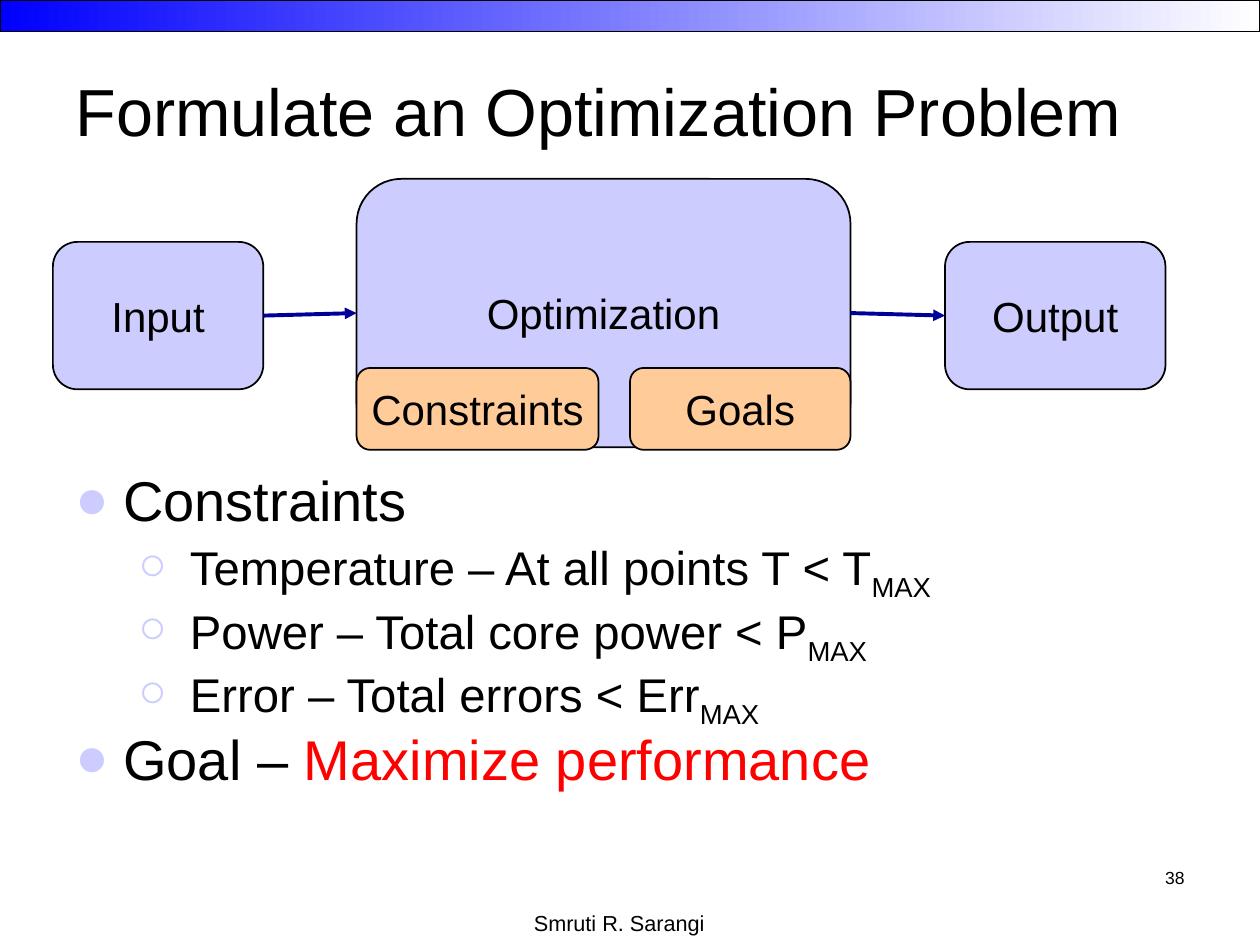
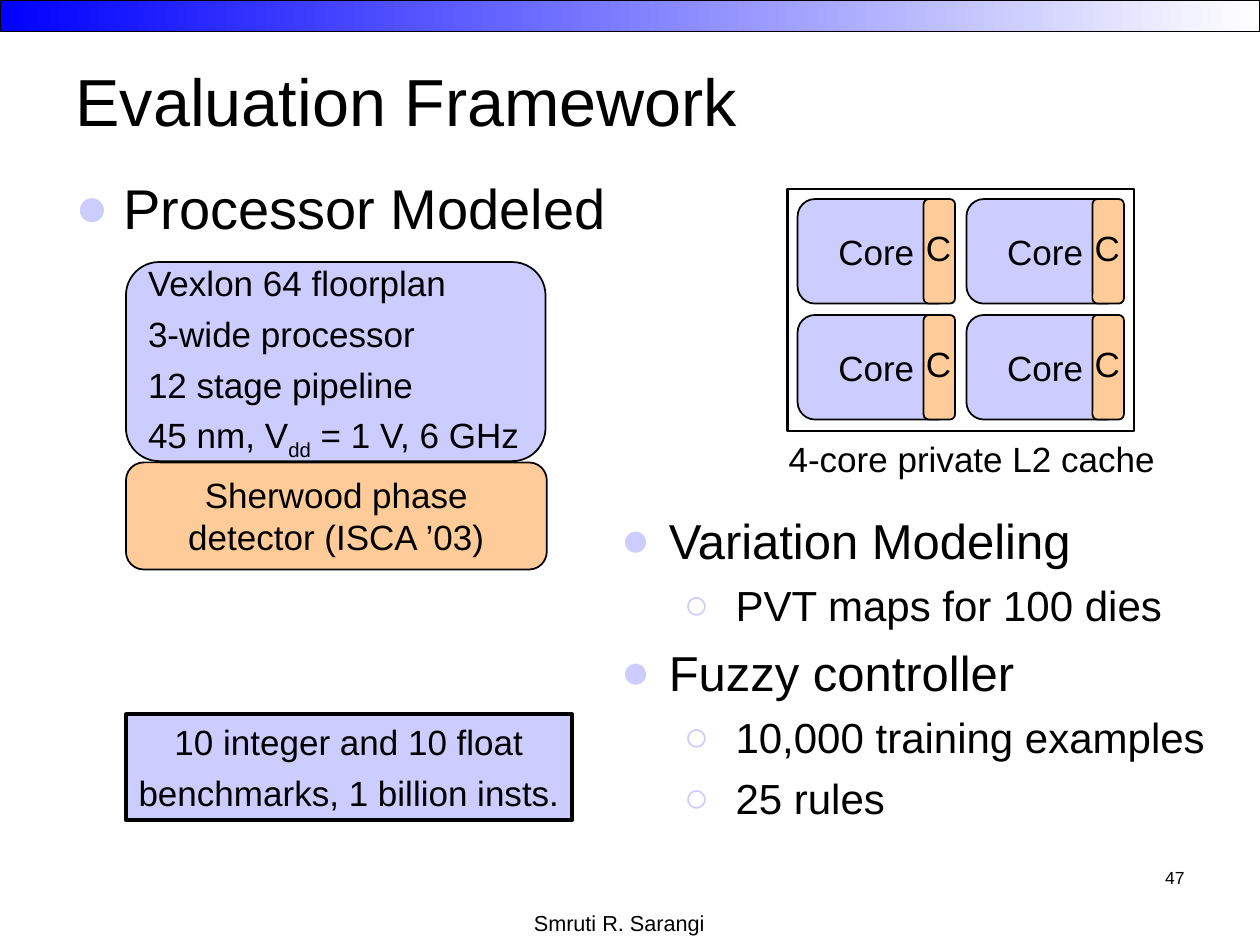
import itertools
from dataclasses import dataclass

import lxml.etree
import pptx
import pptx.dml.color
import pptx.enum.dml
import pptx.enum.shapes
import pptx.enum.text
import pptx.oxml.ns
import pptx.util

Inches = pptx.util.Inches
Pt = pptx.util.Pt
SHAPE = pptx.enum.shapes.MSO_SHAPE
ALIGN = pptx.enum.text.PP_ALIGN
ANCHOR = pptx.enum.text.MSO_ANCHOR
qn = pptx.oxml.ns.qn


@dataclass(frozen=True)
class Theme:
    """Colours, font and type sizes shared by the slides."""
    font: str = "Arial"
    ink: str = "000000"
    paper: str = "FFFFFF"
    band: str = "0000FF"
    lavender: str = "CCCCFF"
    peach: str = "FFCC99"
    arrow: str = "000099"
    accent: str = "FF0000"
    title: float = 38
    flow: float = 24
    label: float = 20
    footer: float = 12.4
    number: float = 10


THEME = Theme()
AUTHOR = "Smruti R. Sarangi"
SUB = {"sub": True}
LEVELS = (("●", 0.38, -0.38), ("○", 0.91, -0.41))


def rgb(color):
    """Turn a hex string into a colour."""
    return pptx.dml.color.RGBColor.from_string(color)


def add_run(p, text, size, color=THEME.ink, sub=False):
    """Add one formatted run to a paragraph."""
    r = p.add_run()
    r.text = text
    r.font.name = THEME.font
    r.font.size = Pt(size)
    r.font.color.rgb = rgb(color)
    if sub:
        r.font._element.set("baseline", "-25000")


def add_bullet(p, level):
    """Give a paragraph the bullet and indents of its level."""
    char, margin, indent = LEVELS[level]
    p.level = level
    pPr = p._p.get_or_add_pPr()
    pPr.set("marL", str(Inches(margin)))
    pPr.set("indent", str(Inches(indent)))
    clr = lxml.etree.SubElement(pPr, qn("a:buClr"))
    lxml.etree.SubElement(clr, qn("a:srgbClr"), val=THEME.lavender)
    lxml.etree.SubElement(pPr, qn("a:buFont"), typeface=THEME.font)
    lxml.etree.SubElement(pPr, qn("a:buChar"), char=char)


def write(sp, paragraphs, size=THEME.label, align=ALIGN.LEFT, anchor=ANCHOR.TOP,
          wrap=True, before=5, spacing=None, levels=None):
    """Fill a shape with paragraphs, each a string or a list of (text, format) runs."""
    per_level = lambda value, level: value[level] if levels else value
    tf = sp.text_frame
    tf.auto_size = pptx.enum.text.MSO_AUTO_SIZE.NONE
    tf.word_wrap = wrap
    tf.vertical_anchor = anchor
    for i, runs in enumerate(paragraphs):
        level = levels[i] if levels else 0
        p = tf.add_paragraph() if i else tf.paragraphs[0]
        if levels:
            add_bullet(p, level)
        p.alignment = align
        p.space_before = Pt(per_level(before, level) if i else 0)
        if spacing:
            p.line_spacing = spacing
        for text, fmt in [(runs, {})] if isinstance(runs, str) else runs:
            add_run(p, text, per_level(size, level), **fmt)


def add_text(s, box, paragraphs, **fmt):
    """Add a text box."""
    sp = s.shapes.add_textbox(*map(Inches, box))
    write(sp, paragraphs, **fmt)
    return sp


def add_outline(s, box, items, **fmt):
    """Add a bulleted list of (level, paragraph) items."""
    levels, paragraphs = zip(*items)
    return add_text(s, box, paragraphs, levels=levels, **fmt)


def add_box(s, box, paragraphs=(), fill=THEME.lavender, line=1,
            shape=SHAPE.ROUNDED_RECTANGLE, **fmt):
    """Add an outlined shape with text in its middle."""
    sp = s.shapes.add_shape(shape, *map(Inches, box))
    sp.shadow.inherit = False
    if fill:
        sp.fill.solid()
        sp.fill.fore_color.rgb = rgb(fill)
    else:
        sp.fill.background()
    sp.line.color.rgb = rgb(THEME.ink)
    sp.line.width = Pt(line)
    if paragraphs:
        write(sp, paragraphs, anchor=ANCHOR.MIDDLE, **{"align": ALIGN.CENTER, **fmt})
    return sp


def add_arrow(s, start, end):
    """Join the right side of one box to the left side of another."""
    c = s.shapes.add_connector(pptx.enum.shapes.MSO_CONNECTOR.STRAIGHT, 0, 0, 0, 0)
    c.begin_connect(start, 3)
    c.end_connect(end, 1)
    c.line.color.rgb = rgb(THEME.arrow)
    c.line.width = Pt(2.25)
    lxml.etree.SubElement(c.line._get_or_add_ln(), qn("a:tailEnd"), type="triangle")
    lxml.etree.SubElement(c._element.spPr, qn("a:effectLst"))


def add_slide(prs, title, number, title_top):
    """Add a slide with its band, title, footer and number."""
    s = prs.slides.add_slide(prs.slide_layouts[5])
    band = add_box(s, (0, 0, 10, 0.25), shape=SHAPE.RECTANGLE)
    band.fill.gradient()
    band.fill.gradient_angle = 0
    for stop, color, position in zip(band.fill.gradient_stops, (THEME.band, THEME.paper), (0, 1)):
        stop.color.rgb = rgb(color)
        stop.position = position
    sp = s.shapes.title
    sp.left, sp.top, sp.width, sp.height = map(Inches, (0.5, title_top, 9, 1.25))
    write(sp, [title], size=THEME.title, anchor=ANCHOR.MIDDLE)
    add_text(s, (3.33, 7.17, 3.17, 0.33), [AUTHOR], size=THEME.footer, align=ALIGN.CENTER)
    add_text(s, (7.17, 6.83, 2.33, 0.5), [number], size=THEME.number, align=ALIGN.RIGHT)
    return s


def add_flow(s, left, top):
    """Draw input, optimization and output joined by arrows."""
    def node(text, x, y, w, h, fill=THEME.lavender):
        return add_box(s, (left + x, top + y, w, h), [text], fill=fill,
                       size=THEME.flow, wrap=False)

    optimization = node("Optimization", 2.41, 0, 3.92, 2.13)
    output = node("Output", 7.08, 0.5, 1.75, 1.17)
    node("Constraints", 2.41, 1.5, 1.92, 0.65, THEME.peach)
    node("Goals", 4.58, 1.5, 1.75, 0.65, THEME.peach)
    source = node("Input", 0, 0.5, 1.67, 1.17)
    add_arrow(s, source, optimization)
    add_arrow(s, optimization, output)


def add_chip(s, left, top):
    """Draw a two by two grid of cores, each with its cache strip."""
    add_box(s, (left, top, 2.75, 1.92), fill=None, line=1.5, shape=SHAPE.RECTANGLE)
    for row, col in itertools.product(range(2), repeat=2):
        x, y = left + 0.08 + 1.34 * col, top + 0.08 + 0.92 * row
        add_box(s, (x, y, 1.25, 0.83), ["Core"], wrap=False)
        add_box(s, (x + 1, y, 0.25, 0.83), fill=THEME.peach)
        add_text(s, (x + 0.92, y + 0.17, 0.4, 0.44), ["C"], wrap=False)
    add_text(s, (left - 0.09, top + 1.92, 3.11, 0.44), ["4-core private L2 cache"], wrap=False)


def add_processor(s, left, top):
    """Stack the processor details, phase detector and benchmarks."""
    add_box(s, (left, top, 3.33, 1.58),
            ["Vexlon 64 floorplan", "3-wide processor", "12 stage pipeline",
             [("45 nm, V", {}), ("dd", SUB), (" = 1 V, 6 GHz", {})]],
            align=ALIGN.LEFT, wrap=False)
    add_box(s, (left, top + 1.59, 3.34, 0.85), ["Sherwood phase detector (ISCA ’03)"],
            fill=THEME.peach)
    add_box(s, (left, top + 3.59, 3.54, 0.84),
            ["10 integer and 10 float", "benchmarks, 1 billion insts."],
            line=2.25, shape=SHAPE.RECTANGLE, wrap=False)


def build_optimization(prs):
    """Build the optimization problem slide."""
    s = add_slide(prs, "Formulate an Optimization Problem", "38", 0.25)
    limits = (("Temperature – At all points T < T"), ("Power – Total core power < P"),
              ("Error – Total errors < Err"))
    add_outline(s, (0.5, 3.75, 9, 2.79),
                [(0, "Constraints"),
                 *((1, [(limit, {}), ("MAX", SUB)]) for limit in limits),
                 (0, [("Goal – ", {}), ("Maximize performance", {"color": THEME.accent})])],
                size=(32, 27), before=(8, 6.8), spacing=0.8)
    add_flow(s, 0.42, 1.42)


def build_evaluation(prs):
    """Build the evaluation framework slide."""
    s = add_slide(prs, "Evaluation Framework", "47", 0.17)
    add_outline(s, (0.5, 1.33, 9, 0.67), [(0, "Processor Modeled")], size=(32, 27), before=(8, 6.8))
    add_processor(s, 1, 2.08)
    add_chip(s, 6.25, 1.5)
    add_outline(s, (4.83, 4, 5.17, 2.69),
                [(0, "Variation Modeling"), (1, "PVT maps for 100 dies"),
                 (0, "Fuzzy controller"), (1, "10,000 training examples"), (1, "25 rules")],
                size=(28, 24), before=(7, 6))


def main():
    """Build and save the presentation."""
    prs = pptx.Presentation()
    prs.slide_width, prs.slide_height = Inches(10), Inches(7.5)
    build_optimization(prs)
    build_evaluation(prs)
    prs.save("out.pptx")


if __name__ == "__main__":
    main()
